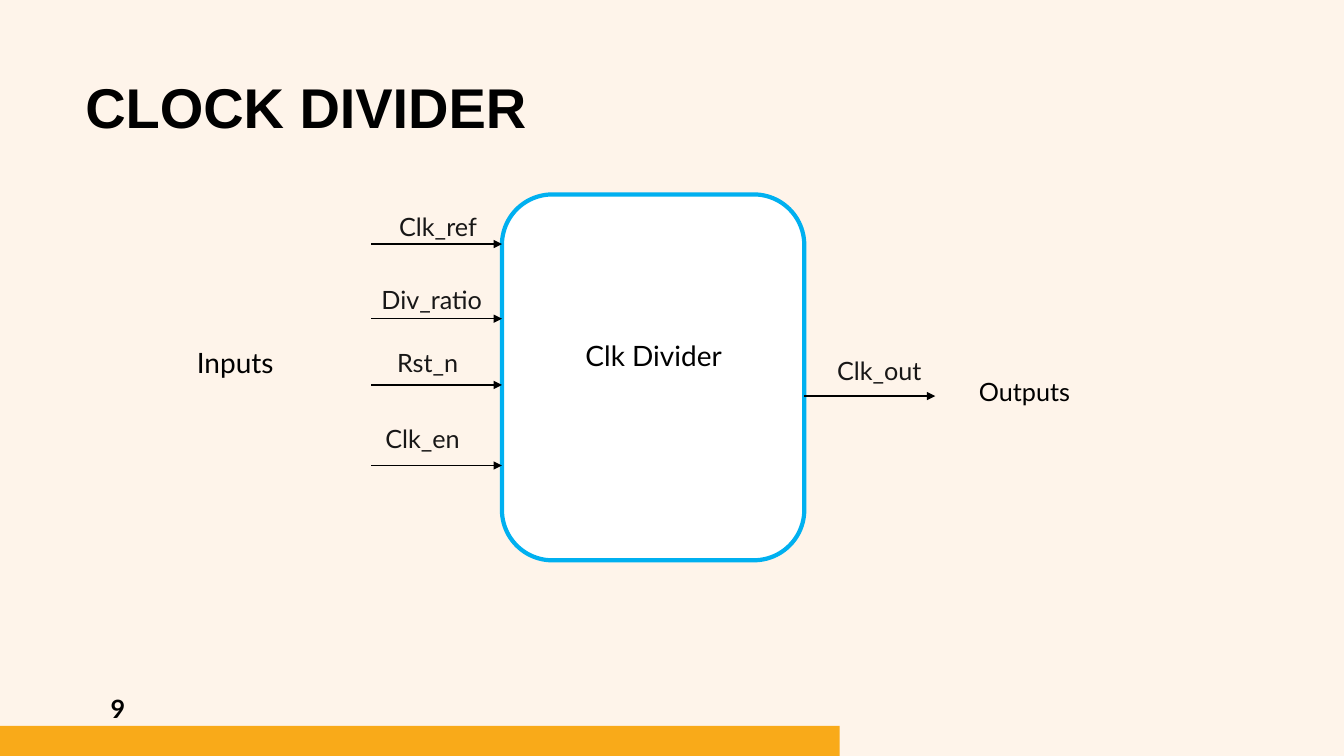
from lxml.etree import SubElement
from pptx import Presentation
from pptx.dml.color import RGBColor
from pptx.enum.shapes import MSO_CONNECTOR, MSO_SHAPE
from pptx.enum.text import MSO_ANCHOR, PP_ALIGN
from pptx.oxml.ns import qn
from pptx.util import Cm, Pt

HUES = {"page": "FEF4EA", "bar": "F9AA19", "edge": "00B0F0",
        "block": "FFFFFF", "ink": "000000", "label": "181717"}
WIDE, HIGH = 33.87, 19.05
REACH = 3.3
INPUTS = [("Clk_ref", 1.25, -0.1, -0.94), ("Div_ratio", 3.13, -0.26, -0.99),
          ("Rst_n", 4.8, -0.36, -1.06), ("Clk_en", 6.83, -0.49, -1.19)]
OUTPUT = ("Clk_out", 5.08, 0.1, -1.14)


def color(name):
    """Return the named colour."""
    return RGBColor.from_string(HUES[name])


def write(slide, words, box, size=18, hue="ink", face="Lato", bold=False,
          align=PP_ALIGN.CENTER, anchor=MSO_ANCHOR.TOP):
    """Write one line of text in a box given in centimetres."""
    frame = slide.shapes.add_textbox(*map(Cm, box)).text_frame
    frame.word_wrap = True
    frame.vertical_anchor = anchor
    para = frame.paragraphs[0]
    para.text = words
    para.alignment = align
    for key, value in {"name": face, "size": Pt(size), "bold": bold}.items():
        setattr(para.font, key, value)
    para.font.color.rgb = color(hue)
    return para


def panel(slide, kind, box, fill, edge=None):
    """Draw a filled shape with an optional outline."""
    shape = slide.shapes.add_shape(kind, *map(Cm, box))
    shape.shadow.inherit = False
    shape.fill.solid()
    shape.fill.fore_color.rgb = color(fill)
    if edge:
        shape.line.color.rgb = color(edge)
        shape.line.width = Pt(3)
    else:
        shape.line.fill.background()


def signal(slide, left, top, port):
    """Draw a labelled arrow for a port, measured from the block's top."""
    name, drop, dx, dy = port
    level = top + drop
    ends = map(Cm, (left, level, left + REACH, level))
    wire = slide.shapes.add_connector(MSO_CONNECTOR.STRAIGHT, *ends)
    wire.line.color.rgb = color("ink")
    wire.line.width = Pt(1)
    SubElement(wire.line._get_or_add_ln(), qn("a:tailEnd"), type="triangle")
    SubElement(wire._element.spPr, qn("a:effectLst"))
    write(slide, name, (left + dx, level + dy, 3.58, 1.02), hue="label")


def header(slide, box):
    """Write the slide title."""
    para = write(slide, "CLOCK DIVIDER", box, 40, face="Arial", bold=True,
                 anchor=MSO_ANCHOR.BOTTOM)
    para.line_spacing = 0.9


def diagram(slide, box):
    """Draw the divider block with its inputs and output."""
    left, top, width, height = box
    panel(slide, MSO_SHAPE.ROUNDED_RECTANGLE, box, "block", "edge")
    for port in INPUTS:
        signal(slide, left - REACH, top, port)
    signal(slide, left + width, top, OUTPUT)
    write(slide, "Clk Divider", (left + 1.5, top + 3.51, 4.65, 1.12), 20)
    write(slide, "Inputs", (left - 8.51, top + 3.69, 3.58, 1.12), 20)
    write(slide, "Outputs", (left + 11.38, top + 4.47, 3.58, 1.02))


def footer(slide, box):
    """Draw the bottom bar and the slide number above it."""
    left, top, width, height = box
    panel(slide, MSO_SHAPE.RECTANGLE, box, "bar")
    write(slide, "9", (left + 2.54, top - 0.94, 7.42, 1.02), bold=True,
          align=PP_ALIGN.LEFT)


def main():
    """Build and save the slide."""
    deck = Presentation()
    deck.slide_width, deck.slide_height = Cm(WIDE), Cm(HIGH)
    slide = deck.slides.add_slide(deck.slide_layouts[6])
    slide.background.fill.solid()
    slide.background.fill.fore_color.rgb = color("page")
    footer(slide, (0, HIGH - 0.76, 21.16, 0.76))
    header(slide, (0.38, 1.14, 14.66, 2.54))
    diagram(slide, (12.65, 4.9, 7.62, 9.22))
    deck.save("out.pptx")


if __name__ == "__main__":
    main()
